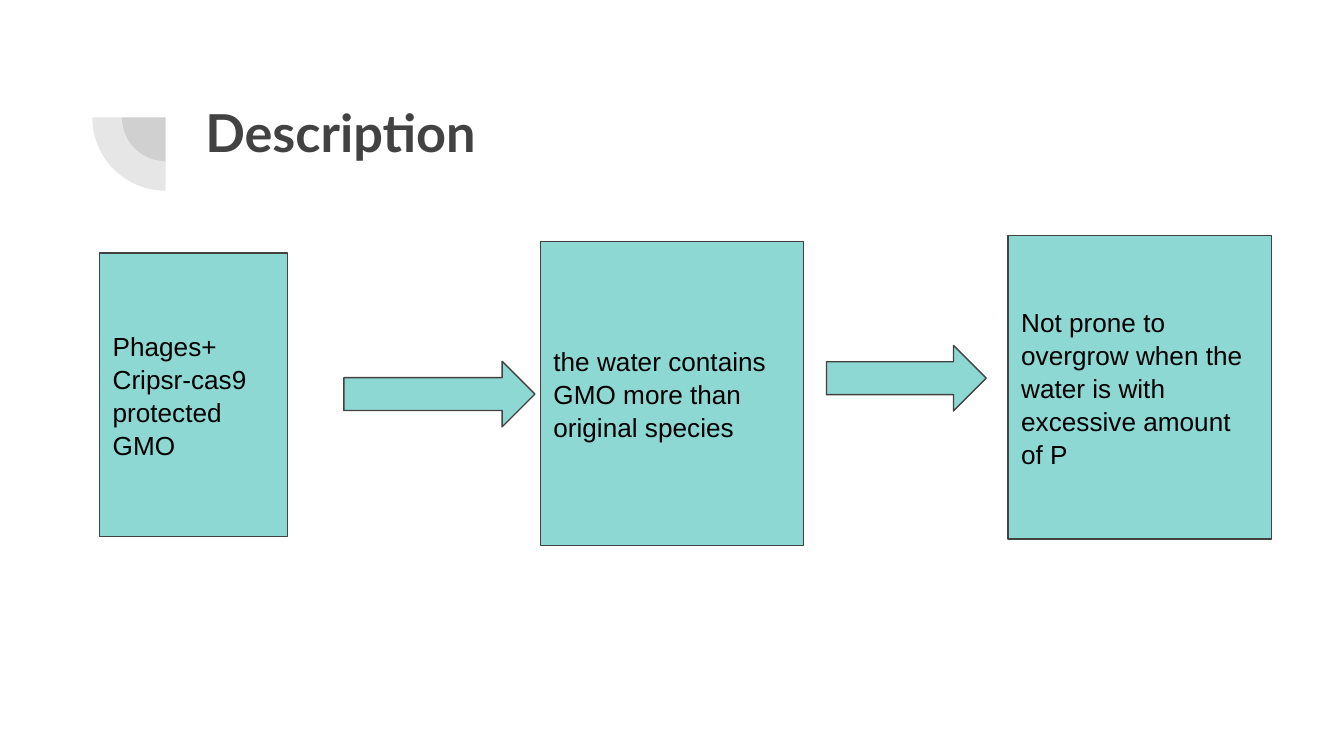
from pptx import Presentation
from pptx import util as u
from pptx.dml.color import RGBColor
from pptx.enum import shapes, text
from pptx.oxml.ns import qn
from lxml import etree

GREY = RGBColor(0x42, 0x42, 0x42)
TEAL = RGBColor(0x8D, 0xD8, 0xD3)
BLACK = RGBColor(0, 0, 0)


def write_text(shape, content, font="Arial", size=14, color=BLACK, bold=False,
               anchor=text.MSO_ANCHOR.MIDDLE, spacing=1.05):
    frame = shape.text_frame
    frame.word_wrap = True
    frame.vertical_anchor = anchor
    frame.margin_left = frame.margin_right = u.Cm(0.25)
    frame.margin_top = frame.margin_bottom = u.Cm(0.25)
    frame.text = content
    for paragraph in frame.paragraphs:
        paragraph.alignment = text.PP_ALIGN.LEFT
        paragraph.line_spacing = spacing
        paragraph.font.name = font
        paragraph.font.size = u.Pt(size)
        paragraph.font.bold = bold
        paragraph.font.color.rgb = color


def add_filled(kind, left, top, width, height, color):
    shape = slide.shapes.add_shape(kind, u.Cm(left), u.Cm(top), u.Cm(width), u.Cm(height))
    shape.shadow.inherit = False
    shape.fill.solid()
    shape.fill.fore_color.rgb = color
    shape.line.color.rgb = GREY
    shape.line.width = u.Pt(0.75)
    return shape


presentation = Presentation()
presentation.slide_width = u.Cm(25.4)
presentation.slide_height = u.Cm(14.29)
slide = presentation.slides.add_slide(presentation.slide_layouts[6])

for diameter in (1.65, 2.77):
    quarter = add_filled(shapes.MSO_SHAPE.PIE, 3.13 - diameter / 2, 2.22 - diameter / 2,
                         diameter, diameter, GREY)
    quarter.adjustments[0] = 108
    quarter.adjustments[1] = 162
    quarter.rotation = 270
    quarter.line.fill.background()
    fill_color = quarter.fill._xPr.find(qn("a:solidFill"))[0]
    etree.SubElement(fill_color, qn("a:alpha"), val="13000")

title = slide.shapes.add_textbox(u.Cm(3.63), u.Cm(1.65), u.Cm(19.53), u.Cm(2.77))
write_text(title, "Description", font="Lato", size=28, color=GREY, bold=True,
           anchor=text.MSO_ANCHOR.TOP, spacing=1.0)

steps = [
    (1.88, 4.78, 3.56, 5.36, "Phages+\nCripsr-cas9 protected GMO"),
    (10.21, 4.57, 4.98, 5.74, "the water contains GMO more than original species"),
    (19.05, 4.45, 4.98, 5.74,
     "Not prone to overgrow when the water is with excessive amount of P"),
]
for left, top, width, height, content in steps:
    box = add_filled(shapes.MSO_SHAPE.RECTANGLE, left, top, width, height, TEAL)
    write_text(box, content)

for left, top, width in [(6.5, 6.83, 3.61), (15.62, 6.53, 3.02)]:
    add_filled(shapes.MSO_SHAPE.RIGHT_ARROW, left, top, width, 1.24, TEAL)

presentation.save("out.pptx")
